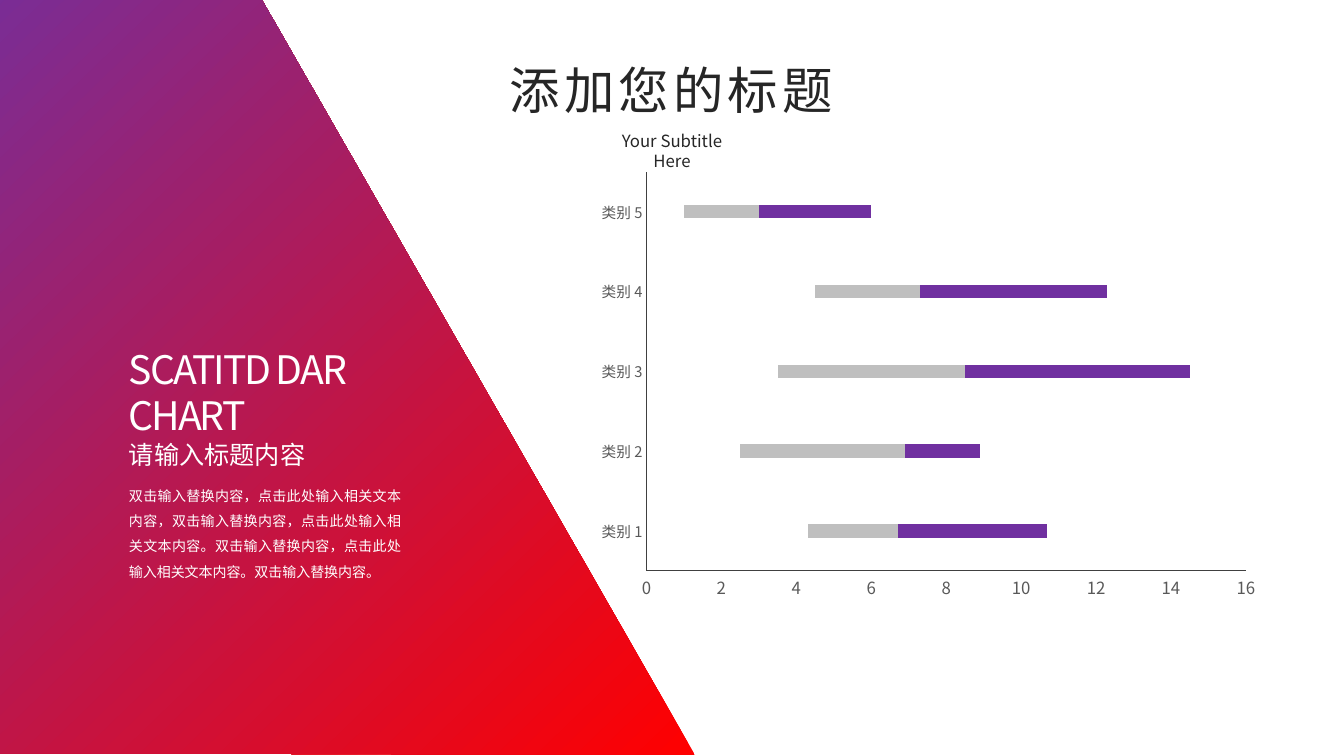
from pptx import Presentation
from pptx.chart.data import CategoryChartData
from pptx.dml.color import RGBColor
from pptx.enum.chart import XL_CHART_TYPE, XL_TICK_MARK
from pptx.enum.text import MSO_ANCHOR, MSO_AUTO_SIZE, PP_ALIGN
from pptx.util import Pt

# Content: lengths in px
FONT = "Noto Sans CJK SC"
DARK, WHITE, GREY, PURPLE, RED = "262626", "FFFFFF", "BFBFBF", "7030A0", "FF0000"
AXIS_LINE, AXIS_TEXT = "404040", "595959"
PANEL = [(695, 755), (262, 0), (-115, 0), (-115, 753)]
TITLE = ("添加您的标题", (269, 54, 805, 72))
TEXTS = [
    ("双击输入替换内容，点击此处输入相关文本内容，双击输入替换内容，点击此处输入相关文本内容。"
     "双击输入替换内容，点击此处输入相关文本内容。双击输入替换内容。",
     (119, 474, 292, 137), dict(size=10, align=PP_ALIGN.JUSTIFY, line=1.5)),
    ("CHART", (119, 386, 160, 57), dict(size=28, align=PP_ALIGN.JUSTIFY, spacing=-1.5)),
    ("SCATITD DAR", (119, 340, 292, 57), dict(size=28, align=PP_ALIGN.JUSTIFY, spacing=-1.5)),
    ("请输入标题内容", (119, 434, 199, 40), dict(size=18, wrap=False)),
    ("Your Subtitle Here", (593, 126, 158, 30), dict(size=12, color=DARK, align=PP_ALIGN.CENTER)),
]
CHART_BOX = (588, 163, 681, 446)
CATEGORIES = [f"类别 {n}" for n in range(1, 6)]
SERIES = [
    ("Series 1", (4.3, 2.5, 3.5, 4.5, 1), WHITE),
    ("Series 2", (2.4, 4.4, 5, 2.8, 2), GREY),
    ("Series 3", (4, 2, 6, 5, 3), PURPLE),
]


def px(n):
    return round(n * 914400 / 100.8)


def rgb(value):
    return RGBColor.from_string(value)


def set_font(font, size, color):
    font.name, font.size = FONT, Pt(size)
    font.color.rgb = rgb(color)


def write(sp, text, size, color=WHITE, align=PP_ALIGN.LEFT, line=None, spacing=None, wrap=True):
    tf = sp.text_frame
    tf.word_wrap = wrap
    tf.auto_size = MSO_AUTO_SIZE.SHAPE_TO_FIT_TEXT
    tf.vertical_anchor = MSO_ANCHOR.TOP
    p = tf.paragraphs[0]
    p.alignment = align
    if line:
        p.line_spacing = line
    r = p.add_run()
    r.text = text
    set_font(r.font, size, color)
    rPr = r._r.get_or_add_rPr()
    if spacing:
        rPr.set("spc", str(round(spacing * 100)))
    ea = rPr.makeelement(rPr.tag.replace("rPr", "ea"), {"typeface": FONT})
    rPr.find(rPr.tag.replace("rPr", "latin")).addnext(ea)


prs = Presentation()
prs.slide_width, prs.slide_height = px(1344), px(756)
s = prs.slides.add_slide(prs.slide_layouts[5])

# Gradient panel
start, *corners = [(px(x), px(y)) for x, y in PANEL]
builder = s.shapes.build_freeform(*start)
builder.add_line_segments(corners, close=True)
panel = builder.convert_to_shape()
panel.shadow.inherit = False
panel.line.fill.background()
panel.fill.gradient()
panel.fill.gradient_angle = 134
for stop, position, color in zip(panel.fill.gradient_stops, (0, 1), (RED, PURPLE)):
    stop.position = position
    stop.color.rgb = rgb(color)

# Stacked bars, the first series hidden in white
data = CategoryChartData()
data.categories = CATEGORIES
for name, values, _ in SERIES:
    data.add_series(name, values)
chart = s.shapes.add_chart(XL_CHART_TYPE.BAR_STACKED, *map(px, CHART_BOX), data).chart
chart.has_legend = chart.has_title = False
set_font(chart.font, 10, "000000")
plot = chart.plots[0]
plot.gap_width, plot.overlap, plot.vary_by_categories = 500, 100, False
for series, (_, _, color) in zip(plot.series, SERIES):
    series.format.fill.solid()
    series.format.fill.fore_color.rgb = rgb(color)
for axis, size in ((chart.category_axis, 10.5), (chart.value_axis, 12)):
    axis.has_major_gridlines = False
    axis.major_tick_mark = axis.minor_tick_mark = XL_TICK_MARK.NONE
    set_font(axis.tick_labels.font, size, AXIS_TEXT)
    axis.format.line.color.rgb = rgb(AXIS_LINE)
    axis.format.line.width = Pt(0.75)

# Title and texts
text, box = TITLE
title = s.shapes.title
title.left, title.top, title.width, title.height = map(px, box)
write(title, text, size=36, color=DARK, align=PP_ALIGN.CENTER, spacing=3)
for text, box, style in TEXTS:
    write(s.shapes.add_textbox(*map(px, box)), text, **style)

prs.save("out.pptx")
